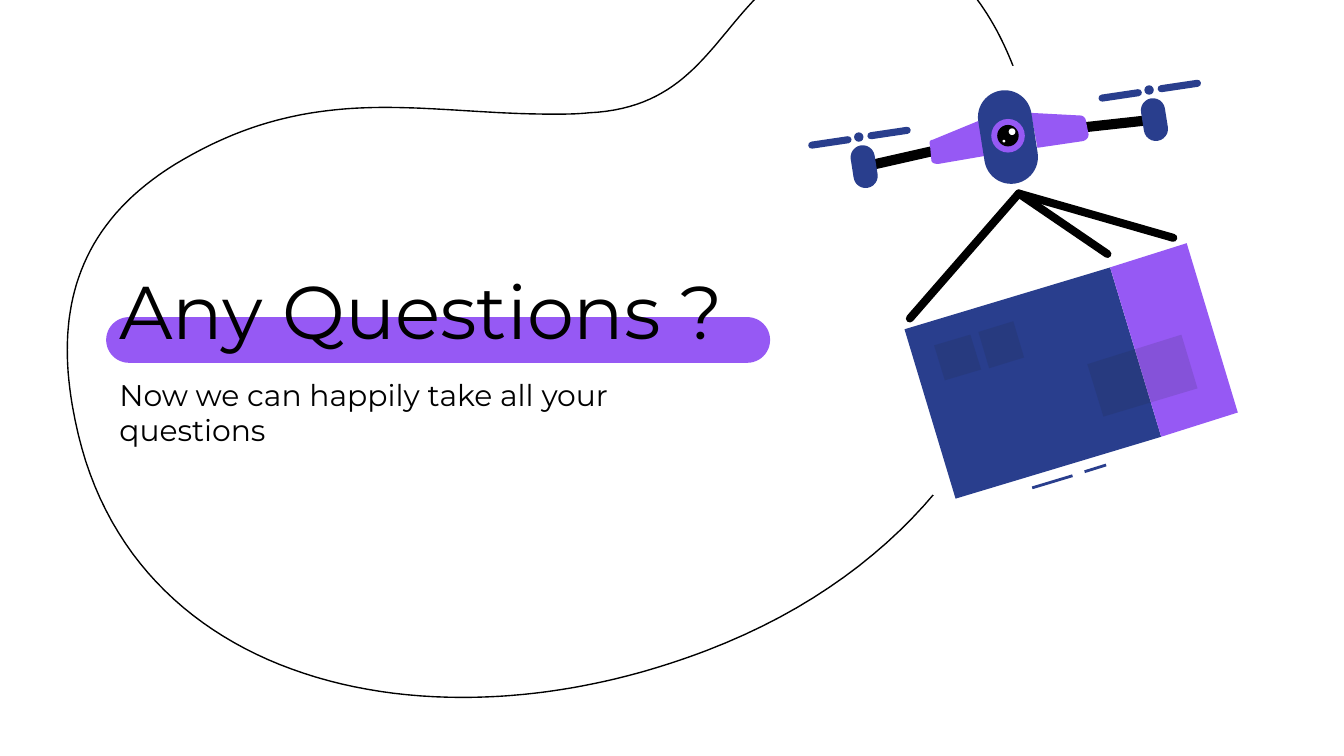
"""Builds a closing slide: a question prompt beside a drone carrying a parcel."""
from dataclasses import dataclass

from lxml import etree
from pptx import Presentation
from pptx.dml.color import RGBColor
from pptx.enum.shapes import MSO_CONNECTOR, MSO_SHAPE
from pptx.oxml.ns import qn
from pptx.util import Inches, Pt

OVAL, PILL = MSO_SHAPE.OVAL, MSO_SHAPE.ROUNDED_RECTANGLE
LINE = MSO_CONNECTOR.STRAIGHT


@dataclass(frozen=True)
class Theme:
    ink: str = "000000"
    paper: str = "FFFFFF"
    navy: str = "293E8D"
    violet: str = "9659F4"
    shade: str = "1A2327"
    font: str = "Montserrat"
    title: int = 40
    body: int = 16


theme = Theme()
deck = Presentation()
deck.slide_width = Inches(10)
deck.slide_height = Inches(10 * 9 / 16)
slide = deck.slides.add_slide(deck.slide_layouts[6])
shapes = slide.shapes


def paint(shape, color):
    shape.shadow.inherit = False
    shape.fill.solid()
    shape.fill.fore_color.rgb = RGBColor.from_string(color)
    shape.line.fill.background()
    return shape


def trace(nodes, steps=40):
    dots = [nodes[0]]
    for node in nodes[1:]:
        if len(node) == 2:
            dots.append(node)
            continue
        a, b, c, d = dots[-1], node[:2], node[2:4], node[4:]
        for step in range(1, steps + 1):
            t = step / steps
            u = 1 - t
            dots.append(tuple(
                u**3 * a[i] + 3 * u * u * t * b[i] + 3 * u * t * t * c[i] + t**3 * d[i]
                for i in (0, 1)))
    dots = [(Inches(x), Inches(y)) for x, y in dots]
    pen = shapes.build_freeform(*dots[0])
    pen.add_line_segments(dots[1:], close=True)
    return pen.convert_to_shape()


blob = trace([
    (6.51, -0.44), (6.36, -0.44, 6.19, -0.4, 6.01, -0.31),
    (5.34, 0.04, 5.29, 0.8, 4.38, 0.84), (4.29, 0.85, 4.2, 0.85, 4.11, 0.85),
    (3.67, 0.85, 3.27, 0.8, 2.87, 0.8), (2.4, 0.8, 1.94, 0.87, 1.43, 1.15),
    (0.56, 1.62, 0.39, 2.32, 0.56, 3.13), (0.84, 4.53, 2.05, 5.19, 3.44, 5.19),
    (4.04, 5.19, 4.66, 5.07, 5.26, 4.84), (7.17, 4.11, 8.05, 2.42, 7.62, 0.74),
    (7.48, 0.23, 7.12, -0.44, 6.51, -0.44)])
blob.shadow.inherit = False
blob.fill.background()
blob.line.color.rgb = RGBColor.from_string(theme.ink)
blob.line.width = Pt(0.75)

band = shapes.add_shape(PILL, Inches(0.79), Inches(2.36), Inches(4.94), Inches(0.34))
band.adjustments[0] = 0.5
paint(band, theme.violet)

for text, top, width, height, size, after in (
    ("Any Questions ?", 1.87, 6.12, 1.66, theme.title, 0),
    ("Now we can happily take all your questions", 2.7, 4.23, 1.12, theme.body, 16),
):
    box = shapes.add_textbox(Inches(0.79), Inches(top), Inches(width), Inches(height))
    frame = box.text_frame
    frame.word_wrap = True
    frame.margin_left = frame.margin_right = Inches(0.1)
    frame.margin_top = frame.margin_bottom = Inches(0.1)
    frame.text = text
    para = frame.paragraphs[0]
    para.space_after = Pt(after)
    font = para.runs[0].font
    font.name, font.size = theme.font, Pt(size)
    font.color.rgb = RGBColor.from_string(theme.ink)

halo = shapes.add_shape(OVAL, Inches(6.08), Inches(0.47), Inches(3.44), Inches(3.44))
paint(halo, theme.paper)

for color, alpha, nodes in (
    (theme.navy, 100, [(8.26, 1.99), (6.73, 2.45), (7.11, 3.71), (8.64, 3.25)]),
    (theme.violet, 100, [(8.83, 1.81), (8.26, 1.99), (8.64, 3.25), (9.21, 3.07)]),
    (theme.shade, 13, [(8.79, 2.49), (8.09, 2.71), (8.21, 3.1), (8.91, 2.89)]),
    (theme.shade, 13, [(7.22, 2.49), (6.95, 2.57), (7.03, 2.83), (7.3, 2.75)]),
    (theme.shade, 13, [(7.54, 2.39), (7.28, 2.47), (7.36, 2.74), (7.62, 2.66)]),
):
    face = paint(trace(nodes), color)
    if alpha < 100:
        tint = face._element.spPr.find(qn("a:solidFill"))[0]
        etree.SubElement(tint, qn("a:alpha"), val=str(alpha * 1000))

pods = ((6.43, 1.24), (8.59, 0.89))
hook = (7.58, 1.44)
lines = [
    ((7.68, 3.63), (7.98, 3.54), theme.navy, 1.5, "flat"),
    ((8.07, 3.51), (8.23, 3.46), theme.navy, 1.5, "flat"),
    (pods[0], (6.96, 1.12), theme.ink, 5.4, "flat"),
    (pods[1], (8.04, 0.95), theme.ink, 5.4, "flat"),
]
lines += [(hook, end, theme.ink, 4.3, "rnd")
          for end in ((8.73, 1.77), (8.24, 1.89), (6.77, 2.37))]
lines += [((x + dx, y + dy), (x + dx + 0.27, y + dy - 0.04), theme.navy, 3.8, "rnd")
          for x, y in pods for dx, dy in ((-0.39, -0.16), (0.05, -0.23))]
for start, end, color, width, cap in lines:
    bar = shapes.add_connector(LINE, *map(Inches, start + end))
    bar.line.color.rgb = RGBColor.from_string(color)
    bar.line.width = Pt(width)
    bar._element.spPr.find(qn("a:ln")).set("cap", cap)
    etree.SubElement(bar._element.spPr, qn("a:effectLst"))

for wing in (
    [(7.67, 0.84), (7.72, 1.1), (8.06, 1.05), (8.09, 1.04, 8.1, 1.02, 8.1, 1),
     (8.08, 0.9), (8.08, 0.88, 8.06, 0.86, 8.04, 0.86)],
    [(7.28, 0.9), (6.94, 1.04), (6.92, 1.04, 6.91, 1.06, 6.92, 1.08),
     (6.93, 1.19), (6.93, 1.21, 6.95, 1.22, 6.98, 1.22), (7.33, 1.16)],
):
    paint(trace(wing, 6), theme.violet)

parts = [(PILL, x, y, 0.18, 0.32, theme.navy) for x, y in pods]
parts += [(OVAL, x - 0.04, y - 0.22, 0.07, 0.07, theme.navy) for x, y in pods]
parts += [
    (PILL, 7.5, 1.02, 0.4, 0.7, theme.navy),
    (OVAL, 7.5, 1.01, 0.25, 0.25, theme.violet),
    (OVAL, 7.5, 1.01, 0.16, 0.16, theme.ink),
    (OVAL, 7.53, 0.98, 0.05, 0.05, theme.paper),
    (OVAL, 7.47, 1.05, 0.02, 0.02, theme.paper),
]
for kind, x, y, width, height, color in parts:
    part = shapes.add_shape(kind, Inches(x - width / 2), Inches(y - height / 2),
                            Inches(width), Inches(height))
    paint(part, color)
    if kind == PILL:
        part.adjustments[0] = 0.5
        part.rotation = -9

deck.save("out.pptx")
